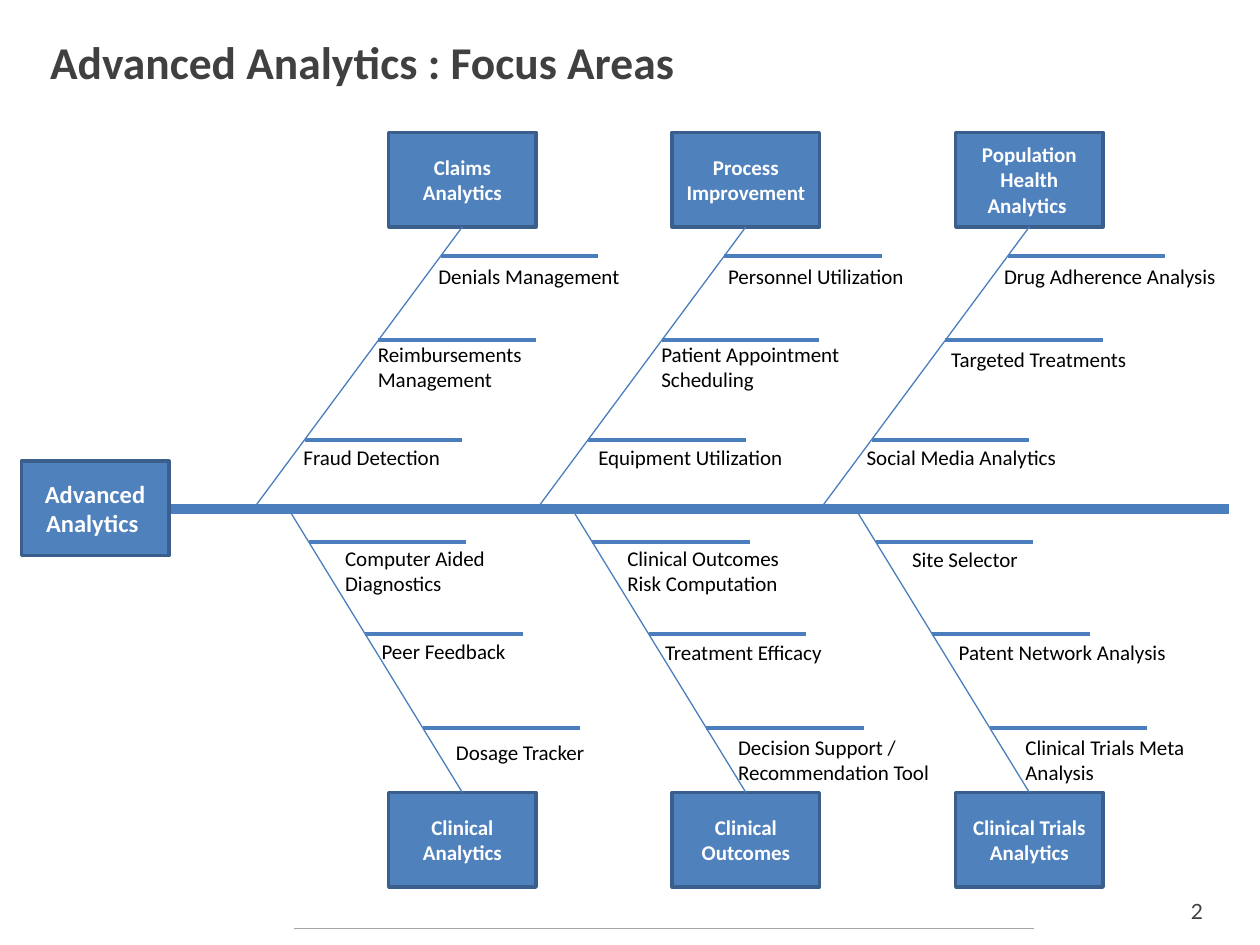
import lxml.etree
import pptx
import pptx.dml.color
import pptx.enum.shapes
import pptx.enum.text
import pptx.oxml.ns
import pptx.util

inch, pt = pptx.util.Inches, pptx.util.Pt
rgb = pptx.dml.color.RGBColor.from_string
align = pptx.enum.text.PP_ALIGN
anchor = pptx.enum.text.MSO_ANCHOR

theme = {
    "font": "Calibri", "page font": "Lato",
    "fill": "4F81BD", "edge": "3A5F8C", "line": "4B7EBC",
    "rule": "A6A6A6", "dark": "404040", "text": "000000", "light": "FFFFFF",
    "title": 26, "head": 14, "body": 12,
}

deck = pptx.Presentation()
deck.slide_width, deck.slide_height = inch(10), inch(7.5)
slide = deck.slides.add_slide(deck.slide_layouts[6])


def draw_line(x1, y1, x2, y2, width, color=theme["line"]):
    line = slide.shapes.add_connector(
        pptx.enum.shapes.MSO_CONNECTOR.STRAIGHT,
        inch(x1), inch(y1), inch(x2), inch(y2))
    line.line.color.rgb = rgb(color)
    line.line.width = pt(width)
    props = line._element.spPr
    lxml.etree.SubElement(props, pptx.oxml.ns.qn("a:effectLst"))


def put_text(x, y, w, h, text, size=theme["body"], color=theme["text"],
             bold=False, side=align.LEFT, wrap=True, box=False,
             font=theme["font"]):
    if box:
        shape = slide.shapes.add_shape(
            pptx.enum.shapes.MSO_SHAPE.RECTANGLE,
            inch(x), inch(y), inch(w), inch(h))
        shape.shadow.inherit = False
        shape.fill.solid()
        shape.fill.fore_color.rgb = rgb(theme["fill"])
        shape.line.color.rgb = rgb(theme["edge"])
        shape.line.width = pt(2)
    else:
        shape = slide.shapes.add_textbox(inch(x), inch(y), inch(w), inch(h))
    frame = shape.text_frame
    frame.text = text
    frame.word_wrap = wrap
    frame.vertical_anchor = anchor.MIDDLE if bold else anchor.TOP
    for para in frame.paragraphs:
        para.alignment = side
        for run in para.runs:
            run.font.name = font
            run.font.size = pt(size)
            run.font.bold = bold
            run.font.color.rgb = rgb(color)


# Fishbone measures
spine, pitch, mid = 4.04, 2.25, 3.67
box_w, box_h, twig = 1.17, 0.75, 1.25

# Each side: box top, bone tip, bone run, twig heights
sides = [
    (1.05, 1.80, 1.66, (2.03, 2.70, 3.49)),
    (6.29, 6.29, 1.38, (4.30, 5.03, 5.78)),
]

# Each bone: name, then its labels as left, top, width, rows, text
bones = [
    [
        ("Claims Analytics", [
            (3.38, 2.04, 1.69, 1, "Denials Management"),
            (2.90, 2.66, 1.42, 2, "Reimbursements \nManagement"),
            (2.31, 3.48, 1.32, 1, "Fraud Detection")]),
        ("Process Improvement", [
            (5.68, 2.04, 1.66, 1, "Personnel Utilization"),
            (5.15, 2.66, 1.71, 2, "Patient Appointment \nScheduling"),
            (4.65, 3.48, 1.73, 1, "Equipment Utilization")]),
        ("Population Health Analytics ", [
            (7.87, 2.04, 1.98, 1, "Drug Adherence Analysis "),
            (7.45, 2.70, 1.64, 1, "Targeted Treatments"),
            (6.78, 3.48, 1.77, 1, "Social Media Analytics")]),
    ],
    [
        ("Clinical Analytics", [
            (2.64, 4.28, 1.32, 2, "Computer Aided\nDiagnostics"),
            (2.93, 5.02, 1.20, 1, "Peer Feedback"),
            (3.52, 5.82, 1.23, 1, "Dosage Tracker")]),
        ("Clinical Outcomes", [
            (4.88, 4.28, 1.49, 2, "Clinical Outcomes \nRisk Computation"),
            (5.18, 5.03, 1.57, 1, "Treatment Efficacy "),
            (5.76, 5.78, 1.77, 2, "Decision Support / \nRecommendation Tool")]),
        ("Clinical Trials Analytics", [
            (7.14, 4.29, 1.05, 1, "Site Selector"),
            (7.51, 5.03, 1.92, 1, "Patent Network Analysis"),
            (8.04, 5.78, 1.57, 2, "Clinical Trials Meta Analysis")]),
    ],
]

# Title and footer
put_text(0.3, 0.22, 9.5, 0.54, "Advanced Analytics : Focus Areas",
         theme["title"], theme["dark"], bold=True)
put_text(9.25, 7.08, 0.5, 0.3, "2", color=theme["dark"],
         side=align.CENTER, font=theme["page font"])
draw_line(2.33, 7.37, 8.21, 7.37, 0.75, theme["rule"])

# Spine and head
draw_line(1.33, spine, 9.75, spine, 6)
put_text(0.17, 3.66, box_w, box_h, "Advanced Analytics ", theme["head"],
         theme["light"], bold=True, side=align.CENTER, box=True)

# Bones with their boxes, twigs and labels
for (top, tip, reach, levels), row in zip(sides, bones):
    for col, (name, labels) in enumerate(row):
        end = mid + col * pitch
        root = end - reach
        put_text(end - box_w / 2, top, box_w, box_h, name, theme["body"],
                 theme["light"], bold=True, side=align.CENTER, box=True)
        draw_line(root, spine, end, tip, 0.75)
        for y, (left, high, wide, rows, text) in zip(levels, labels):
            start = root + reach * (y - spine) / (tip - spine)
            draw_line(start, y, start + twig, y, 2.25)
            flows = rows > len(text.split("\n"))
            put_text(left, high, wide, 0.1 + 0.2 * rows, text, wrap=flows)

deck.save("out.pptx")
